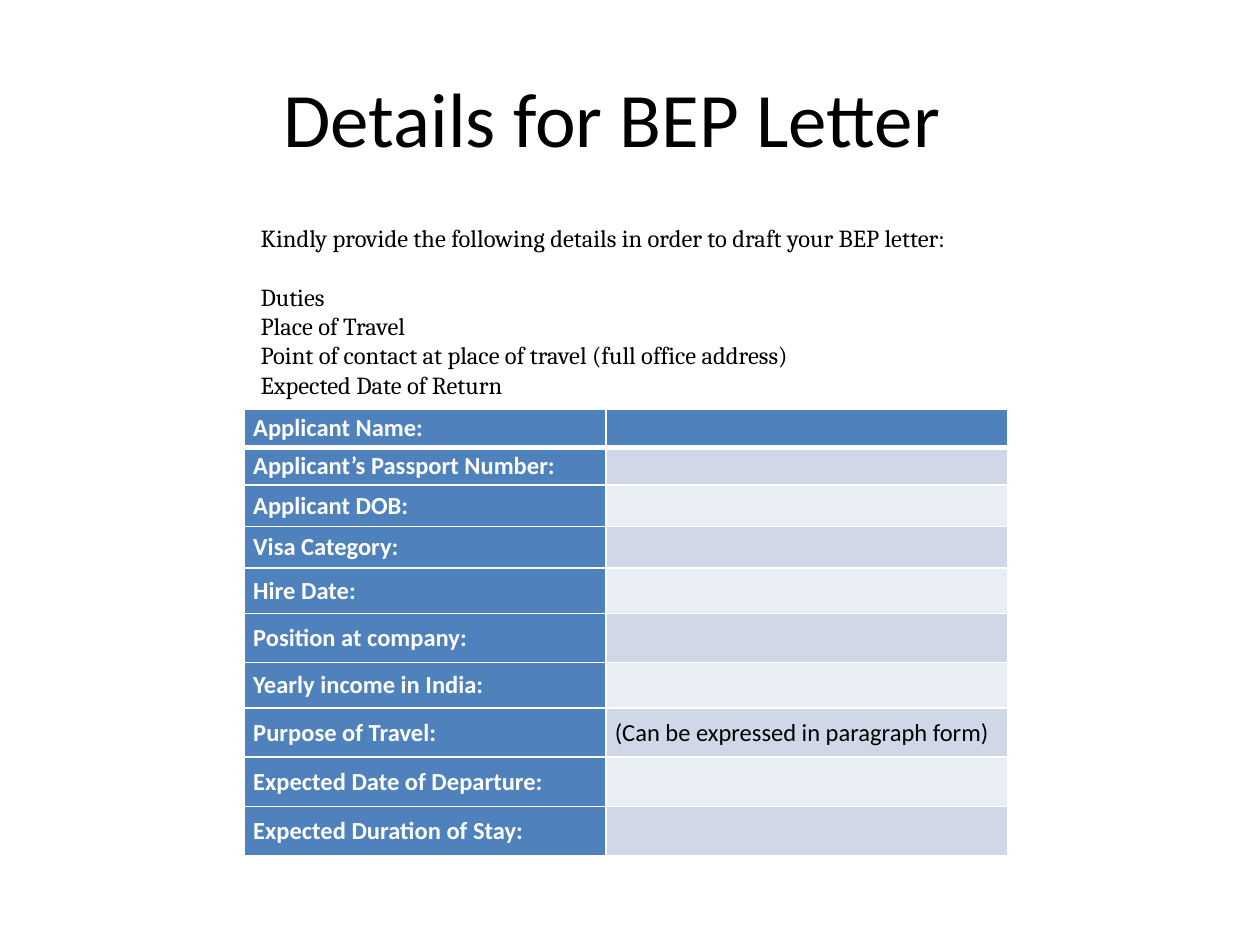
from lxml import etree
from pptx import Presentation
from pptx.dml.color import RGBColor
from pptx.enum import text
from pptx.oxml.ns import qn
from pptx.util import Inches, Pt

WHITE, BLACK, BLUE = "FFFFFF", "000000", "4F81BD"
BANDS = ("D0D8E8", "E9EDF4")
INTRO = "Kindly provide the following details in order to draft your BEP letter:"
DETAILS = (
    "Duties",
    "Place of Travel",
    "Point of contact at place of travel (full office address)",
    "Expected Date of Return",
)
FIELDS = (
    ("Applicant Name:", "", 0.3),
    ("Applicant’s Passport Number:", "", 0.3),
    ("Applicant DOB:", "", 0.33),
    ("Visa Category:", "", 0.33),
    ("Hire Date:", "", 0.36),
    ("Position at company:", "", 0.39),
    ("Yearly income in India:", "", 0.36),
    ("Purpose of Travel:", "(Can be expressed in paragraph form)", 0.39),
    ("Expected Date of Departure:", "", 0.39),
    ("Expected Duration of Stay:", "", 0.39),
)


def color(value):
    """Turn a hex string into a colour."""
    return RGBColor.from_string(value)


def add_run(paragraph, content, font, size, hex_color, bold=False):
    """Add one formatted run to a paragraph."""
    run = paragraph.add_run()
    run.text = content
    run.font.name, run.font.size, run.font.bold = font, Pt(size), bold
    run.font.color.rgb = color(hex_color)


def set_borders(cell, top, bottom):
    """Give a cell white borders with the given top and bottom widths."""
    properties = cell._tc.get_or_add_tcPr()
    for tag, width in (("lnL", 1), ("lnR", 1), ("lnT", top), ("lnB", bottom)):
        line = etree.SubElement(properties, qn(f"a:{tag}"), w=str(Pt(width)))
        fill = etree.SubElement(line, qn("a:solidFill"))
        etree.SubElement(fill, qn("a:srgbClr"), val=WHITE)


def fill_cell(cell, content, fill, font_color, bold, top, bottom):
    """Write and format one table cell."""
    set_borders(cell, top, bottom)
    cell.fill.solid()
    cell.fill.fore_color.rgb = color(fill)
    cell.margin_left = cell.margin_right = Inches(0.07)
    cell.margin_top = cell.margin_bottom = 0
    cell.vertical_anchor = text.MSO_ANCHOR.MIDDLE
    paragraph = cell.text_frame.paragraphs[0]
    if content:
        add_run(paragraph, content, "Calibri", 14, font_color, bold)
    else:
        etree.SubElement(paragraph._p, qn("a:endParaRPr"), sz="1400")


def place_title(slide, left, top, width, height):
    """Place and format the title placeholder."""
    title = slide.shapes.title
    title.left, title.top, title.width, title.height = map(Inches, (left, top, width, height))
    title.text_frame.vertical_anchor = text.MSO_ANCHOR.MIDDLE
    paragraph = title.text_frame.paragraphs[0]
    paragraph.alignment = text.PP_ALIGN.CENTER
    add_run(paragraph, "Details for BEP Letter\t", "Calibri", 44, BLACK)


def add_request(slide, left, top, width, height):
    """Add the introduction and the list of requested details."""
    box = slide.shapes.add_textbox(*map(Inches, (left, top, width, height)))
    frame = box.text_frame
    frame.word_wrap = True
    add_run(frame.paragraphs[0], INTRO, "Cambria", 14, BLACK)
    for index, detail in enumerate(DETAILS):
        paragraph = frame.add_paragraph()
        paragraph.space_before = Pt(0 if index else 16.7)
        add_run(paragraph, detail, "Cambria", 14, BLACK)


def add_form(slide, left, top, width, height):
    """Add the applicant form as a two-column table."""
    frame = slide.shapes.add_table(len(FIELDS), 2, *map(Inches, (left, top, width, height)))
    table = frame.table
    label_width = 2.87
    table.columns[0].width = Inches(label_width)
    table.columns[1].width = Inches(width - label_width)
    for index, (label, value, row_height) in enumerate(FIELDS):
        table.rows[index].height = Inches(row_height)
        top_line = 3 if index == 1 else 1
        bottom_line = 3 if index == 0 else 1
        value_fill = BANDS[(index - 1) % 2] if index else BLUE
        fill_cell(table.cell(index, 0), label, BLUE, WHITE, True, top_line, bottom_line)
        fill_cell(table.cell(index, 1), value, value_fill, BLACK, False, top_line, bottom_line)


def main():
    """Build and save the presentation."""
    presentation = Presentation()
    presentation.slide_width, presentation.slide_height = Inches(10), Inches(7.5)
    slide = presentation.slides.add_slide(presentation.slide_layouts[5])
    place_title(slide, 0.5, 0.3, 9, 1.25)
    add_form(slide, 1.94, 3.25, 6.06, 3.56)
    add_request(slide, 1.97, 1.72, 5.93, 1.95)
    presentation.save("out.pptx")


if __name__ == "__main__":
    main()
